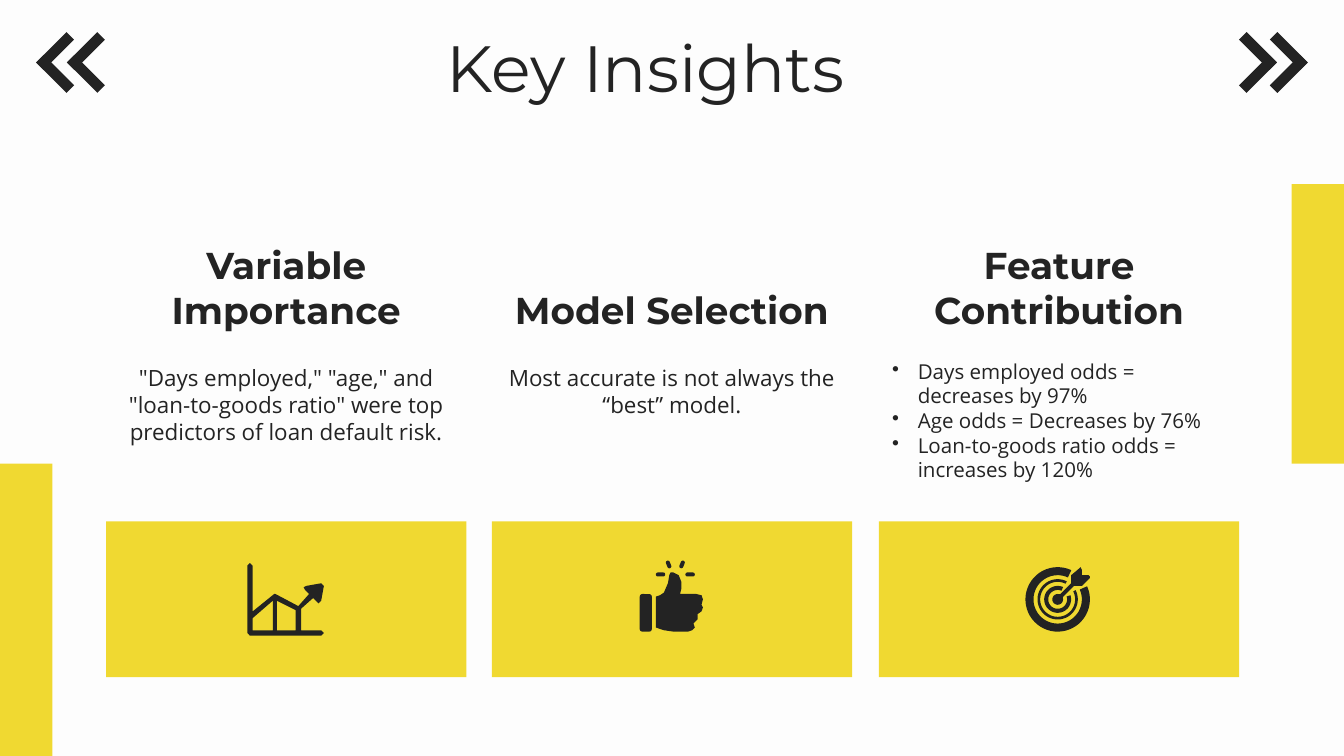
from math import cos, radians, sin

from lxml import etree
from pptx import Presentation
from pptx.dml.color import RGBColor
from pptx.enum.shapes import MSO_SHAPE
from pptx.enum.text import MSO_ANCHOR, PP_ALIGN
from pptx.oxml.ns import qn
from pptx.util import Inches, Pt

RECT, ROUND = MSO_SHAPE.RECTANGLE, MSO_SHAPE.ROUNDED_RECTANGLE
TOP, BOTTOM = MSO_ANCHOR.TOP, MSO_ANCHOR.BOTTOM
LEFT, CENTER = PP_ALIGN.LEFT, PP_ALIGN.CENTER
HEX = {"paper": "FDFDFD", "ink": "232323", "gold": "F0D931"}
COLOR = {name: RGBColor.from_string(code) for name, code in HEX.items()}
HEAD, BODY = "Montserrat", "Open Sans"

# Slide in 16:9
deck = Presentation()
deck.slide_width = Inches(10)
deck.slide_height = Inches(10) * 9 // 16
slide = deck.slides.add_slide(deck.slide_layouts[6])
slide.background.fill.solid()
slide.background.fill.fore_color.rgb = COLOR["paper"]


def write(box, lines, font, size, bold=False, anchor=TOP, bullet=False):
    frame = slide.shapes.add_textbox(*map(Inches, box)).text_frame
    frame.word_wrap = True
    frame.vertical_anchor = anchor
    frame.margin_left = frame.margin_right = Inches(0.1)
    frame.margin_top = frame.margin_bottom = Inches(0.1)
    for i, line in enumerate(lines):
        para = frame.add_paragraph() if i else frame.paragraphs[0]
        para.alignment = LEFT if bullet else CENTER
        if bullet:
            props = para._p.get_or_add_pPr()
            props.set("marL", str(Inches(0.19)))
            props.set("indent", str(-Inches(0.19)))
            etree.SubElement(props, qn("a:buChar")).set("char", "•")
        run = para.add_run()
        run.text = line
        run.font.name, run.font.size, run.font.bold = font, Pt(size), bold
        run.font.color.rgb = COLOR["ink"]


def draw(*loops):
    pen = None
    for loop in loops:
        pts = [(Inches(x), Inches(y)) for x, y in loop]
        if pen is None:
            pen = slide.shapes.build_freeform(*pts[0])
        else:
            pen.move_to(*pts[0])
        pen.add_line_segments(pts[1:], close=True)
    shape = pen.convert_to_shape()
    shape.shadow.inherit = False
    shape.fill.solid()
    shape.fill.fore_color.rgb = COLOR["ink"]
    shape.line.fill.background()


# Side bars, cards, chevrons and the small parts of the thumb
cols = [0.79, 3.66, 6.54]
parts = [
    (RECT, "gold", -0.39, 3.45, 0.78, 2.18, 0),
    (RECT, "gold", 9.61, 1.37, 0.78, 2.08, 0),
]
parts += [(RECT, "gold", x, 3.88, 2.68, 1.16, 0) for x in cols]
for x, tilt in [(0.25, 45), (0.48, 45), (9.2, -45), (9.43, -45)]:
    parts.append((RECT, "ink", x, 0.51, 0.32, 0.08, tilt))
    parts.append((RECT, "ink", x, 0.34, 0.32, 0.08, -tilt))
parts += [
    (ROUND, "ink", 4.88, 4.26, 0.07, 0.03, 0),
    (ROUND, "ink", 5.1, 4.26, 0.07, 0.03, 0),
    (ROUND, "ink", 4.96, 4.17, 0.03, 0.06, -22),
    (ROUND, "ink", 5.06, 4.17, 0.03, 0.06, 22),
    (ROUND, "ink", 4.76, 4.42, 0.09, 0.28, 0),
]
for kind, tone, x, y, w, h, turn in parts:
    shape = slide.shapes.add_shape(kind, *map(Inches, (x, y, w, h)))
    shape.rotation = turn
    shape.shadow.inherit = False
    shape.fill.solid()
    shape.fill.fore_color.rgb = COLOR[tone]
    shape.line.fill.background()
    if kind == ROUND:
        shape.adjustments[0] = min(0.5, 0.02 / min(w, h))

# Title and column headings
write((0.59, 0.1, 8.43, 0.63), ["Key Insights"], HEAD, 35)
heads = ["Variable Importance", "Model Selection", "Feature Contribution"]
for x, head in zip(cols, heads):
    write((x, 1.72, 2.68, 0.85), [head], HEAD, 20, bold=True, anchor=BOTTOM)

# Column texts
notes = [
    '"Days employed," "age," and "loan-to-goods ratio" were top '
    "predictors of loan default risk.",
    "Most accurate is not always the “best” model.",
]
for x, note in zip(cols, notes):
    write((x, 2.61, 2.68, 0.98), [note], BODY, 12)
odds = [
    "Days employed odds = decreases by 97%",
    "Age odds = Decreases by 76%",
    "Loan-to-goods ratio odds = increases by 120%",
]
write((cols[2], 2.57, 2.68, 1.23), odds, BODY, 11, bullet=True)

# Line chart icon: outline, then two holes
draw(
    [(1.86, 4.19), (1.85, 4.2), (1.84, 4.21), (1.84, 4.71), (1.85, 4.72),
     (1.86, 4.73), (2.39, 4.73), (2.4, 4.72), (2.41, 4.71), (2.4, 4.7),
     (2.39, 4.69), (2.24, 4.69), (2.24, 4.53), (2.33, 4.45), (2.36, 4.48),
     (2.37, 4.49), (2.39, 4.47), (2.41, 4.36), (2.39, 4.34), (2.28, 4.36),
     (2.26, 4.37), (2.27, 4.39), (2.3, 4.42), (2.22, 4.51), (2.05, 4.42),
     (2.04, 4.42), (1.88, 4.55), (1.88, 4.21), (1.87, 4.2)],
    [(2.03, 4.47), (2.03, 4.69), (1.88, 4.69), (1.88, 4.6)],
    [(2.06, 4.47), (2.2, 4.54), (2.2, 4.69), (2.06, 4.69)],
)

# Thumb icon: hand
draw(
    [(4.99, 4.26), (4.98, 4.28), (4.97, 4.34), (4.94, 4.41), (4.91, 4.43),
     (4.88, 4.44), (4.88, 4.67), (4.94, 4.69), (5.01, 4.7), (5.12, 4.7),
     (5.15, 4.69), (5.17, 4.67), (5.16, 4.64), (5.19, 4.61), (5.19, 4.57),
     (5.22, 4.55), (5.23, 4.52), (5.22, 4.5), (5.23, 4.46), (5.22, 4.43),
     (5.18, 4.42), (5.06, 4.42), (5.07, 4.38), (5.07, 4.33), (5.05, 4.28),
     (5.01, 4.26)],
)

# Target icon: open rings, then the dart with a round tip
mid_x, mid_y = 7.87, 4.46
for far, near, start, end in [
    (0.15, 0.13, -27, -63), (0.1, 0.07, -18, -66), (0.24, 0.18, -24, -65),
]:
    turns = [radians(start + (360 + end - start) * i / 48) for i in range(49)]
    rim = [(far, t) for t in turns] + [(near, t) for t in reversed(turns)]
    draw([(mid_x + r * cos(t), mid_y + r * sin(t)) for r, t in rim])
turns = [radians(a) for a in range(-75, -376, -15)]
tip = [(mid_x + 0.04 * cos(t), mid_y + 0.04 * sin(t)) for t in turns]
draw(
    [(8.04, 4.22), (8.03, 4.23), (7.97, 4.28), (7.97, 4.34), (7.89, 4.42)]
    + tip
    + [(7.91, 4.44), (7.99, 4.36), (8.04, 4.36), (8.05, 4.36), (8.11, 4.3),
       (8.11, 4.29), (8.1, 4.28), (8.05, 4.28), (8.05, 4.24)],
)

deck.save("out.pptx")
